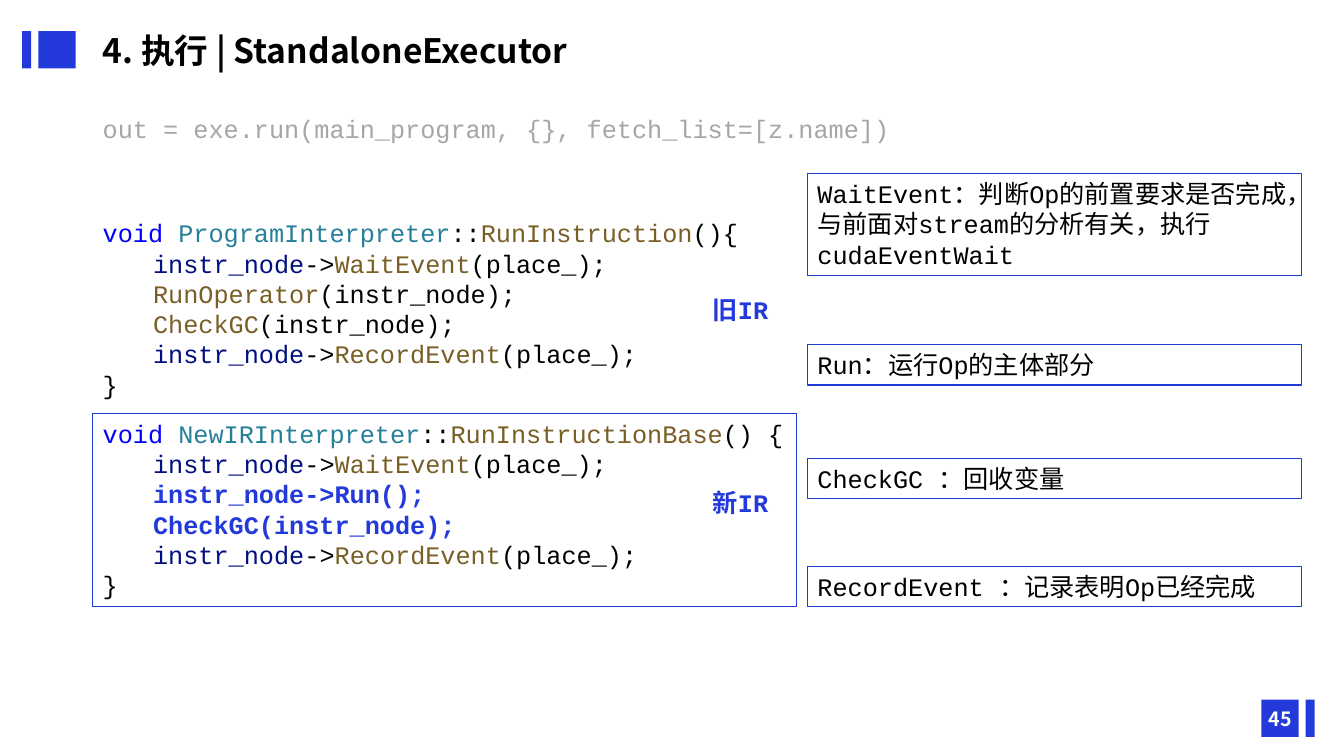
from lxml import etree
from pptx import Presentation
from pptx.dml.color import RGBColor
from pptx.enum.shapes import MSO_SHAPE
from pptx.enum.text import MSO_ANCHOR, MSO_AUTO_SIZE, PP_ALIGN
from pptx.oxml.ns import qn
from pptx.util import Inches, Pt

RECT = MSO_SHAPE.RECTANGLE
TOP, MIDDLE = MSO_ANCHOR.TOP, MSO_ANCHOR.MIDDLE
LEFT, CENTER = PP_ALIGN.LEFT, PP_ALIGN.CENTER
GROW, FIXED = MSO_AUTO_SIZE.SHAPE_TO_FIT_TEXT, MSO_AUTO_SIZE.NONE

BLUE = RGBColor(0x23, 0x39, 0xDA)
BORDER = RGBColor(0x20, 0x3B, 0xD3)
BLACK = RGBColor(0, 0, 0)
WHITE = RGBColor(0xFF, 0xFF, 0xFF)
GRAY = RGBColor(0xA6, 0xA6, 0xA6)
KEYWORD = RGBColor(0, 0, 0xFF)
CLASS = RGBColor(0x26, 0x7F, 0x99)
FUNC = RGBColor(0x79, 0x5E, 0x26)
VAR = RGBColor(0, 0x10, 0x80)
MONO, SANS = "Courier New", "Noto Sans CJK SC"

# Content: a line is (level, runs), a run is (text, colour, bold)
TITLE = "4. 执行 | StandaloneExecutor"
CALL = "out = exe.run(main_program, {}, fetch_list=[z.name])"
PAGE = "45"


def signature(cls, method, tail):
    return 0, [("void ", KEYWORD, False), (cls, CLASS, False),
               ("::", BLACK, False), (method, FUNC, False), (tail, BLACK, False)]


def node_call(method):
    return 1, [("instr_node", VAR, False), ("->", BLACK, False),
               (method, FUNC, False), ("(place_);", BLACK, False)]


def plain_call(name):
    return 1, [(name, FUNC, False), ("(instr_node);", BLACK, False)]


def one_line(text, color=BLACK, bold=False, level=0):
    return level, [(text, color, bold)]


OLD_CODE = [
    signature("ProgramInterpreter", "RunInstruction", "(){"),
    node_call("WaitEvent"),
    plain_call("RunOperator"),
    plain_call("CheckGC"),
    node_call("RecordEvent"),
    one_line("}"),
]
NEW_CODE = [
    signature("NewIRInterpreter", "RunInstructionBase", "() {"),
    node_call("WaitEvent"),
    one_line("instr_node->Run();", BLUE, True, 1),
    one_line("CheckGC(instr_node);", BLUE, True, 1),
    node_call("RecordEvent"),
    one_line("}"),
]
LABELS = [("旧IR", 2.87), ("新IR", 4.79)]  # text, top
NOTES = [  # text, top, height
    ("WaitEvent：判断Op的前置要求是否完成，与前面对stream的分析有关，执行cudaEventWait", 1.72, 1.01),
    ("Run：运行Op的主体部分", 3.42, 0.4),
    ("CheckGC ：回收变量", 4.55, 0.4),
    ("RecordEvent ：记录表明Op已经完成", 5.62, 0.4),
]
BARS = [(0.38, 0.31, 0.37), (0.22, 0.31, 0.09),  # left, top, width
        (12.51, 6.94, 0.37), (12.95, 6.94, 0.09)]
MARGIN = 0.92

prs = Presentation()
prs.slide_width, prs.slide_height = Inches(13.33), Inches(7.5)
s = prs.slides.add_slide(prs.slide_layouts[5])


def write(sp, lines, font=MONO, size=18, anchor=TOP, align=LEFT, fit=GROW, spacing=None):
    tf = sp.text_frame
    for name, value in {"word_wrap": True, "auto_size": fit, "vertical_anchor": anchor}.items():
        setattr(tf, name, value)
    for i, (level, runs) in enumerate(lines):
        p = tf.paragraphs[0] if i == 0 else tf.add_paragraph()
        p.level, p.alignment = level, align
        if spacing:
            p.line_spacing = spacing
        for text, color, bold in runs:
            r = p.add_run()
            r.text = text
            for name, value in {"name": font, "size": Pt(size), "bold": bold}.items():
                setattr(r.font, name, value)
            r.font.color.rgb = color
            # Chinese characters use the sans font
            etree.SubElement(r.font._element, qn("a:ea")).set("typeface", SANS)


def text_box(x, y, w, h, lines, **fmt):
    sp = s.shapes.add_textbox(*map(Inches, (x, y, w, h)))
    write(sp, lines, **fmt)


def rect(x, y, w, h, fill=None, line=None):
    sp = s.shapes.add_shape(RECT, *map(Inches, (x, y, w, h)))
    sp.shadow.inherit = False
    if fill is None:
        sp.fill.background()
    else:
        sp.fill.solid()
        sp.fill.fore_color.rgb = fill
    if line is None:
        sp.line.fill.background()
    else:
        sp.line.color.rgb = BORDER
        sp.line.width = Pt(line)
    return sp


# Corner bars and page number
for x, y, w in BARS:
    rect(x, y, w, 0.37, fill=BLUE)
text_box(12.43, 6.93, 0.54, 0.4, [one_line(PAGE, WHITE, True)],
         font=SANS, size=14, anchor=MIDDLE, align=CENTER, fit=FIXED)

# Title and the call being explained
title = s.shapes.title
title.left, title.top, title.width, title.height = map(Inches, (MARGIN, 0.38, 9.27, 0.29))
write(title, [one_line(TITLE, BLACK, True)], font=SANS, size=24,
      anchor=MIDDLE, fit=FIXED, spacing=0.9)
text_box(MARGIN, 1.11, 11.5, 0.4, [one_line(CALL, GRAY)], fit=FIXED, spacing=0.9)

# Old and new interpreter code
text_box(MARGIN, 2.11, 6.8, 1.92, OLD_CODE)
write(rect(MARGIN, 4.1, 6.98, 1.92, line=1), NEW_CODE)
for text, y in LABELS:
    text_box(6.97, y, 0.92, 0.4, [one_line(text, BLUE, True)])

# Explanations on the right
for text, y, h in NOTES:
    write(rect(8.01, y, 4.9, h, line=0.75), [one_line(text)], anchor=TOP)

prs.save("out.pptx")
